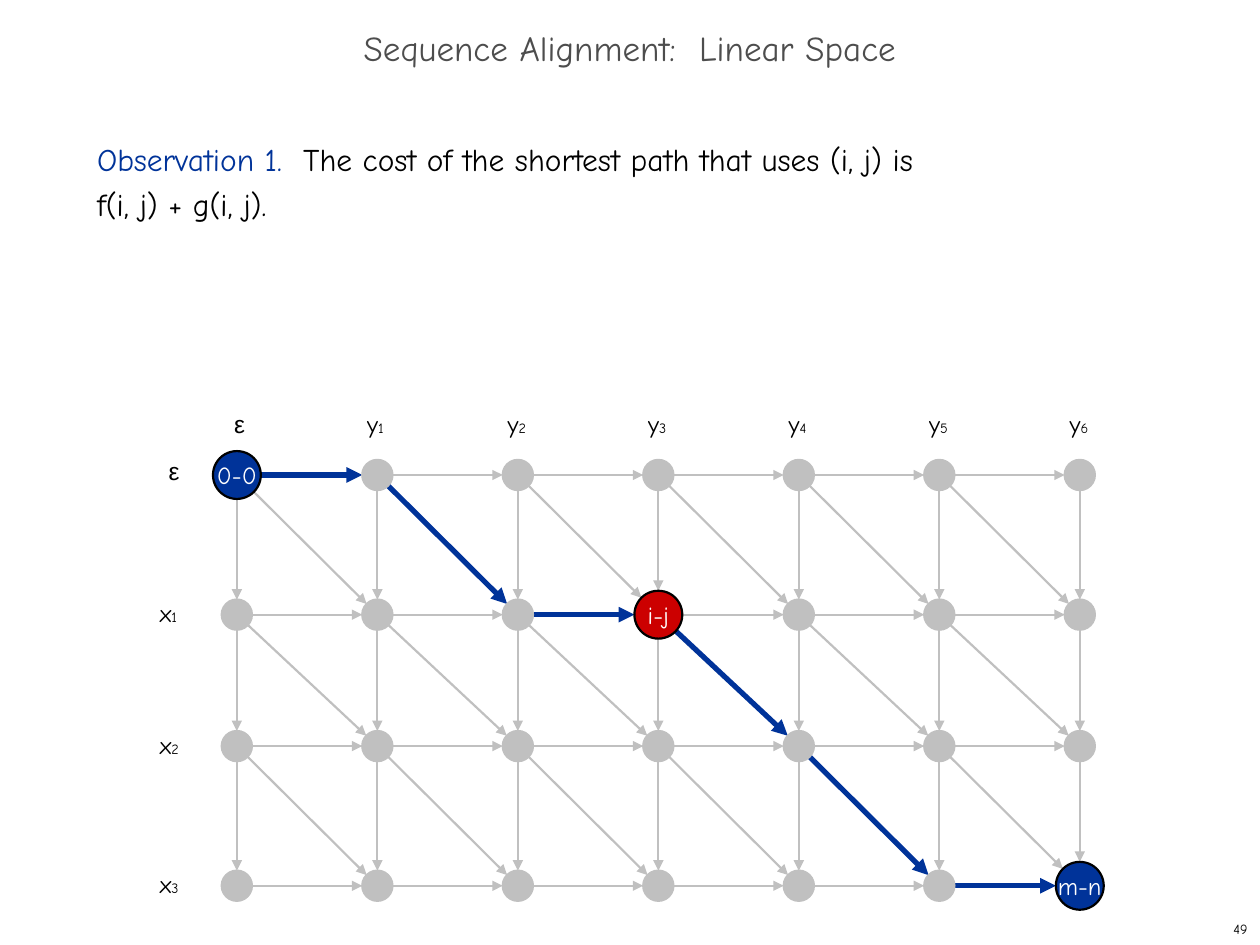
from collections import namedtuple
from itertools import product
from math import hypot

from pptx import Presentation
from pptx import util as u
from pptx.dml.color import RGBColor
from pptx.enum import shapes, text
from pptx.oxml.ns import qn
from lxml import etree

COLORS = {"blue": "003399", "red": "CC0000", "gray": "C0C0C0",
          "title": "4D4D4D", "black": "000000", "white": "FFFFFF"}
FONT = "Comic Neue"
Box = namedtuple("Box", "left top width height")

COLUMNS, ROWS = 7, 4
ROW_SHARES = (0, 0.34, 0.66, 1)
STEPS = ((0, 1), (1, 0), (1, 1))
SHORTEST = [(0, 0), (0, 1), (1, 2), (1, 3), (2, 4), (3, 5), (3, 6)]
MARKED = {(0, 0): ("0-0", "blue"), (1, 3): ("i-j", "red"), (3, 6): ("m-n", "blue")}
PLAIN_RADIUS, MARKED_RADIUS = 0.12, 0.19


def color(name):
    return RGBColor.from_string(COLORS[name])


def apply(target, **values):
    for name, value in values.items():
        setattr(target, name, value)


def inches(box):
    return [u.Inches(value) for value in box]


def add_span(para, words, size, tint="black", face=FONT, baseline=None):
    span = para.add_run()
    span.text = words
    apply(span.font, size=u.Pt(size), name=face, bold=False)
    span.font.color.rgb = color(tint)
    if baseline:
        span.font._element.set("baseline", str(baseline))


def set_frame(shape, anchor=text.MSO_ANCHOR.TOP, wrap=True):
    """Format a text frame and return its first paragraph."""
    apply(shape.text_frame, auto_size=text.MSO_AUTO_SIZE.NONE, word_wrap=wrap,
          vertical_anchor=anchor)
    return shape.text_frame.paragraphs[0]


def place(shape, box):
    apply(shape, **dict(zip(Box._fields, inches(box))))


def add_title(page, box):
    place(page.shapes.title, box)
    para = set_frame(page.shapes.title, text.MSO_ANCHOR.MIDDLE)
    apply(para, alignment=text.PP_ALIGN.CENTER, line_spacing=0.7)
    add_span(para, "Sequence Alignment:  Linear Space", 20, "title")


def add_observation(page, box):
    body = page.placeholders[1]
    place(body, box)
    para = set_frame(body)
    properties = para._p.get_or_add_pPr()
    properties.set("marL", "0")
    properties.set("indent", "0")
    etree.SubElement(properties, qn("a:buNone"))
    apply(para, line_spacing=u.Pt(26), space_before=u.Pt(0))
    add_span(para, "Observation 1.  ", 18, "blue")
    add_span(para, "The cost of the shortest path that uses (i, j) is", 18)
    para.add_line_break()
    add_span(para, "f(i, j) + g(i, j).", 18)


def add_page_number(page, box):
    number = page.shapes.add_textbox(*inches(box))
    para = set_frame(number, text.MSO_ANCHOR.MIDDLE)
    para.alignment = text.PP_ALIGN.RIGHT
    add_span(para, "49", 8)


def radius(node):
    return MARKED_RADIUS if node in MARKED else PLAIN_RADIUS


def add_edge(page, centers, start, end):
    """Draw an arrow between the rims of two nodes."""
    (x1, y1), (x2, y2) = centers[start], centers[end]
    length = hypot(x2 - x1, y2 - y1)
    dx, dy = (x2 - x1) / length, (y2 - y1) / length
    leave, arrive = radius(start), radius(end)
    edge = page.shapes.add_connector(
        shapes.MSO_CONNECTOR.STRAIGHT,
        *inches((x1 + dx * leave, y1 + dy * leave, x2 - dx * arrive, y2 - dy * arrive)))
    on_path = (start, end) in zip(SHORTEST, SHORTEST[1:])
    edge.line.color.rgb = color("blue" if on_path else "gray")
    edge.line.width = u.Pt(3 if on_path else 1.25)
    etree.SubElement(edge.line._get_or_add_ln(), qn("a:tailEnd"), type="triangle")
    etree.SubElement(edge._element.spPr, qn("a:effectLst"))


def add_node(page, node, center):
    words, fill = MARKED.get(node, ("", "gray"))
    r = radius(node)
    circle = page.shapes.add_shape(
        shapes.MSO_SHAPE.OVAL,
        *inches((center[0] - r, center[1] - r, 2 * r, 2 * r)))
    circle.shadow.inherit = False
    circle.fill.solid()
    circle.fill.fore_color.rgb = color(fill)
    circle.line.color.rgb = color("black" if words else "gray")
    circle.line.width = u.Pt(1.25)
    if words:
        para = set_frame(circle, text.MSO_ANCHOR.MIDDLE, wrap=False)
        para.alignment = text.PP_ALIGN.CENTER
        add_span(para, words, 14, "white")


def add_label(page, left, top, letter, index):
    """Index 0 stands for the empty prefix, shown as an epsilon."""
    para = set_frame(page.shapes.add_textbox(*inches((left, top, 0.45, 0.37))))
    if index:
        add_span(para, letter, 14)
        add_span(para, str(index), 14, baseline=-25)
    else:
        add_span(para, "ε", 14, face="Arial")


def add_lattice(page, box):
    """Draw the alignment graph; the box joins the outer node centers."""
    xs = [box.left + box.width * c / (COLUMNS - 1) for c in range(COLUMNS)]
    ys = [box.top + box.height * share for share in ROW_SHARES]
    centers = {(r, c): (xs[c], ys[r]) for r, c in product(range(ROWS), range(COLUMNS))}
    for (r, c), (down, right) in product(centers, STEPS):
        if (r + down, c + right) in centers:
            add_edge(page, centers, (r, c), (r + down, c + right))
    for node, center in centers.items():
        add_node(page, node, center)
    for c, x in enumerate(xs):
        add_label(page, x - (0.18 if c else 0.12), box.top - 0.57, "y", c)
    for r, y in enumerate(ys):
        add_label(page, box.left - (0.71 if r else 0.64), y - (0.18 if r else 0.2), "x", r)


def main():
    deck = Presentation()
    apply(deck, slide_width=u.Inches(10), slide_height=u.Inches(7.5))
    page = deck.slides.add_slide(deck.slide_layouts[1])
    add_page_number(page, Box(7.92, 7.25, 2.08, 0.25))
    add_observation(page, Box(0.67, 1, 8.58, 5.92))
    add_title(page, Box(0, 0.17, 10, 0.5))
    add_lattice(page, Box(1.88, 3.77, 6.69, 3.26))
    deck.save("out.pptx")


if __name__ == "__main__":
    main()
